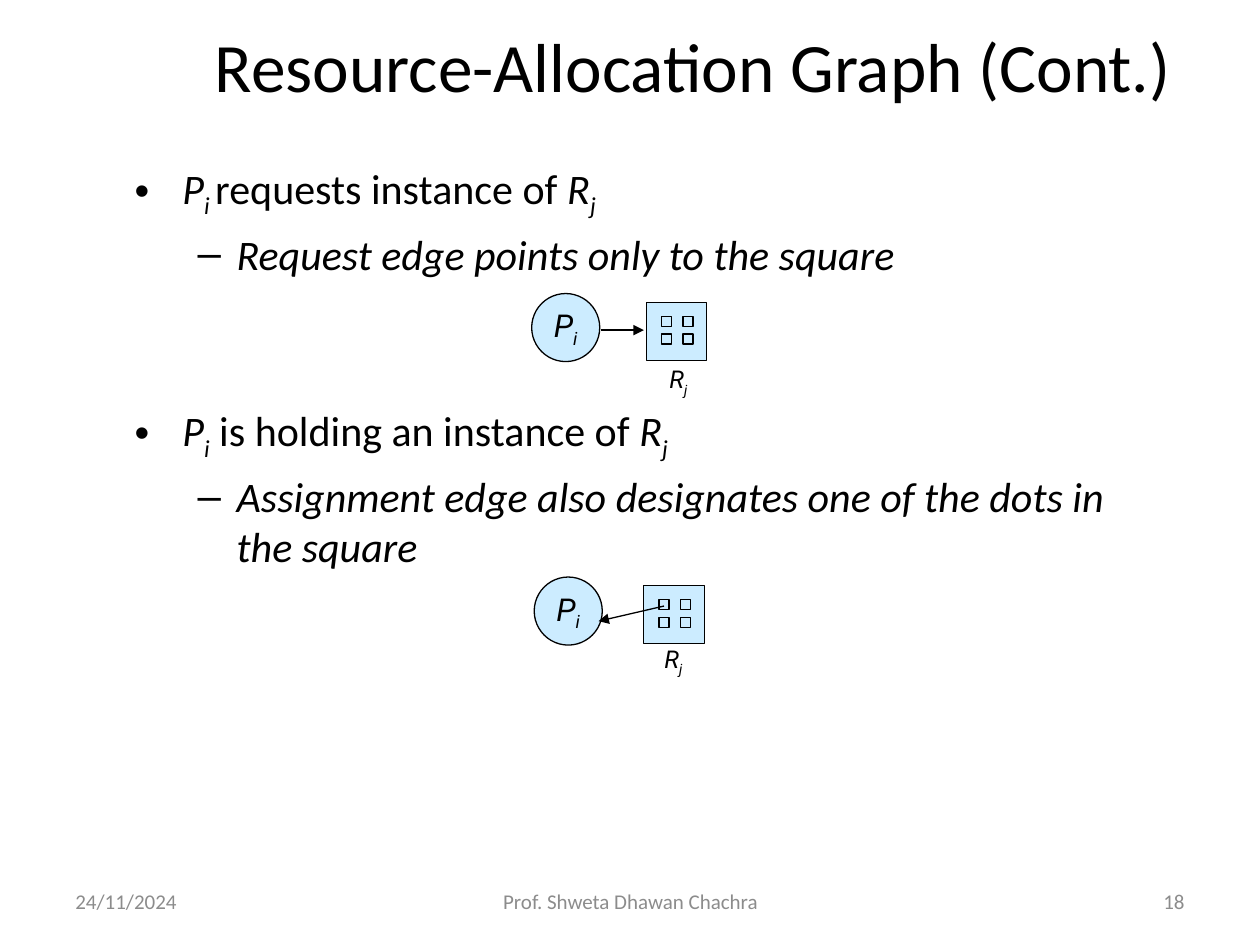
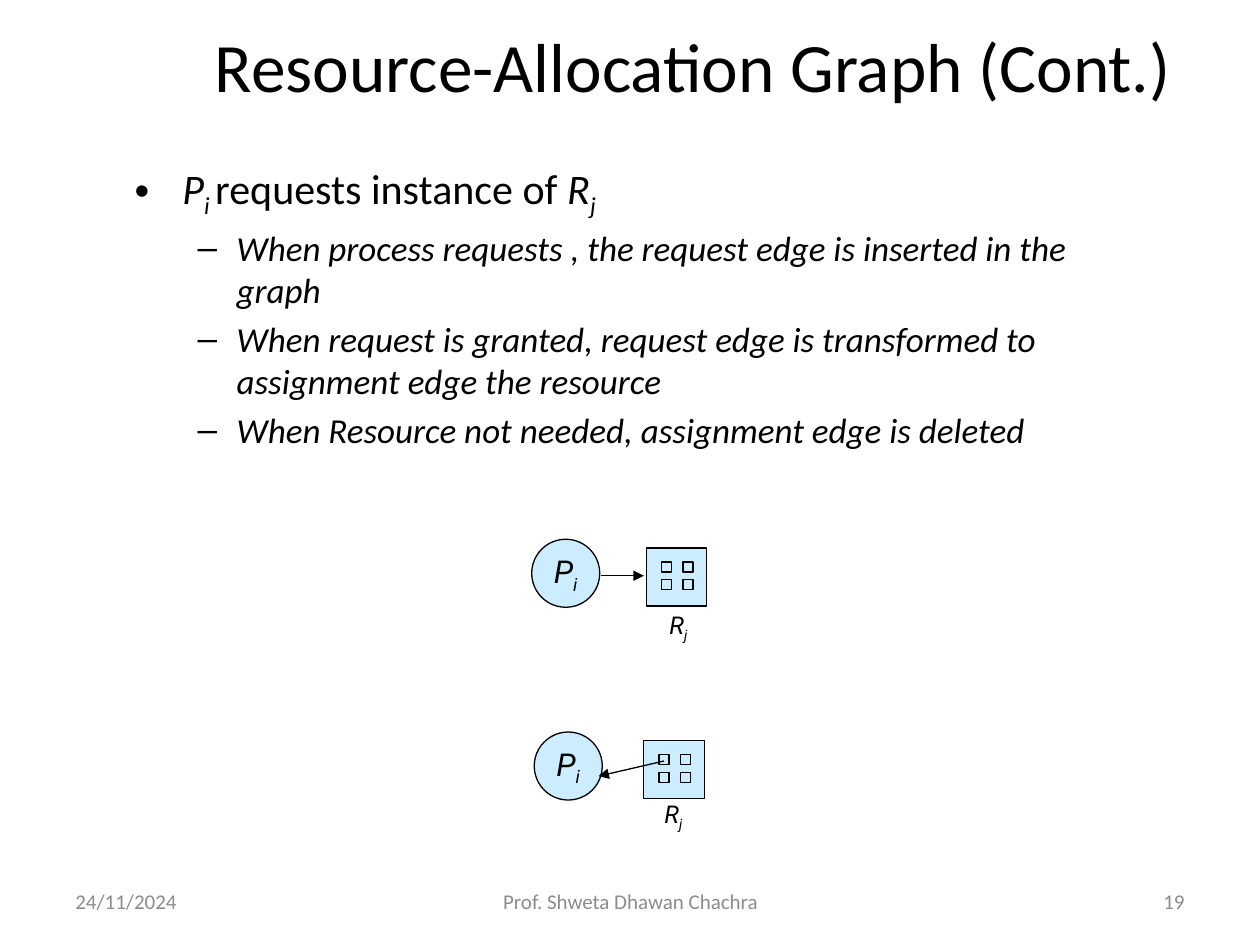
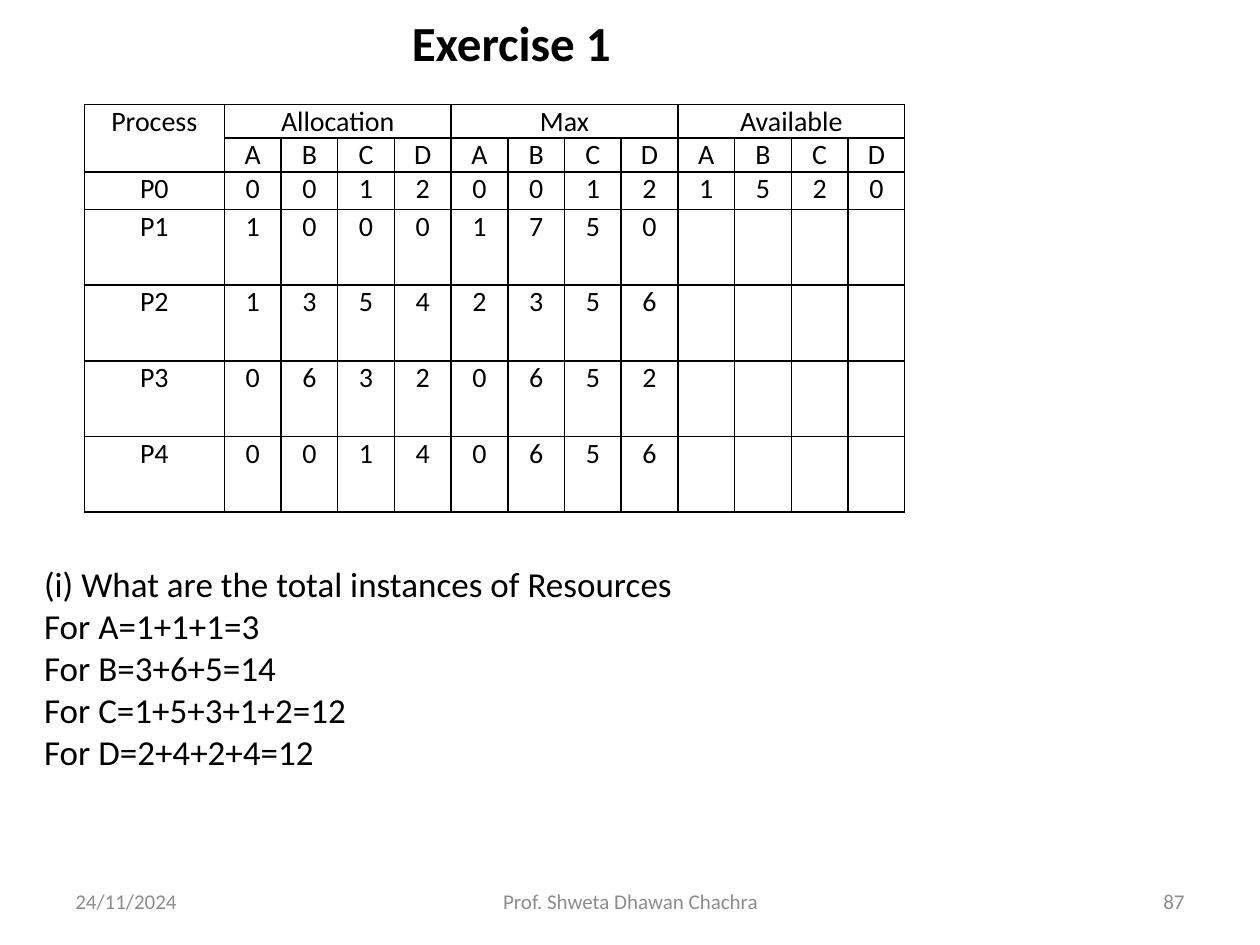
from dataclasses import dataclass
from lxml.etree import SubElement
from pptx import Presentation
from pptx.dml.color import RGBColor
from pptx.enum.shapes import MSO_CONNECTOR, MSO_SHAPE
from pptx.enum.text import MSO_ANCHOR, MSO_AUTO_SIZE, PP_ALIGN
from pptx.oxml import parse_xml
from pptx.oxml.ns import nsdecls, qn
from pptx.util import Inches, Pt


@dataclass(frozen=True)
class Theme:
    ink: str = "000000"
    pale: str = "CCECFF"
    gray: str = "8C8C8C"
    font: str = "Calibri"
    sign: str = "Roboto"
    head: float = 39.6
    sub: int = 28
    text: int = 24
    small: int = 20
    node: int = 18
    cell: int = 16
    label: int = 14
    foot: int = 12
    line: float = 0.75
    grid: float = 1


DATE = "24/11/2024"
NAME = "Prof. Shweta Dhawan Chachra"
HEAD = "Resource-Allocation Graph (Cont.)"
LEFT, MID, RIGHT = PP_ALIGN.LEFT, PP_ALIGN.CENTER, PP_ALIGN.RIGHT
PROC = [("P", "i"), ("i", "is")]
RES = [("R", "i"), ("j", "is")]
ASK = [("P", "i"), ("i ", "is"), ("requests instance of ", ""), *RES]
HOLD = [*PROC, (" is holding an instance of ", ""), *RES]


class Deck:
    def __init__(self, theme):
        self.theme = theme
        self.file = Presentation()
        self.file.slide_width = Inches(10)
        self.file.slide_height = Inches(7.5)
        self.slide = None

    def start(self, num):
        self.slide = self.file.slides.add_slide(self.file.slide_layouts[5])
        feet = [(0.5, 2.33, DATE, LEFT), (3.42, 3.17, NAME, MID), (7.17, 2.33, str(num), RIGHT)]
        for left, width, text, align in feet:
            self.text((left, 6.95, width, 0.4), [(text, "")], self.theme.foot,
                      align, color=self.theme.gray, anchor=MSO_ANCHOR.MIDDLE)

    def runs(self, para, parts, size, font=None, color=None):
        for text, style in parts:
            run = para.add_run()
            run.text = text
            run.font.name = font or self.theme.font
            run.font.size = Pt(size)
            run.font.color.rgb = RGBColor.from_string(color or self.theme.ink)
            run.font.italic = "i" in style
            run.font.bold = "b" in style
            if "s" in style:
                run._r.get_or_add_rPr().set("baseline", "-25000")

    def title(self, box, lines, size, align):
        shape = self.slide.shapes.title
        shape.left, shape.top, shape.width, shape.height = map(Inches, box)
        frame = shape.text_frame
        frame.word_wrap = True
        frame.auto_size = MSO_AUTO_SIZE.NONE
        frame.vertical_anchor = MSO_ANCHOR.MIDDLE
        para = frame.paragraphs[0]
        para.alignment = align
        for spot, line in enumerate(lines):
            if spot:
                para.add_line_break()
            self.runs(para, [(line, "")], size)

    def text(self, box, parts, size, align=LEFT, font=None, color=None,
             anchor=MSO_ANCHOR.TOP, wrap=True):
        frame = self.slide.shapes.add_textbox(*map(Inches, box)).text_frame
        frame.word_wrap = wrap
        frame.vertical_anchor = anchor
        para = frame.paragraphs[0]
        para.alignment = align
        self.runs(para, parts, size, font, color)

    def list(self, box, items):
        frame = self.slide.shapes.add_textbox(*map(Inches, box)).text_frame
        frame.word_wrap = True
        for spot, (level, parts, size, gap) in enumerate(items):
            para = frame.add_paragraph() if spot else frame.paragraphs[0]
            para.level = level
            para.space_before = Pt(gap or size * 0.2)
            left, hang, mark = [(0.38, 0.38, "•"), (0.81, 0.31, "–")][level]
            props = para._p.get_or_add_pPr()
            props.set("marL", str(Inches(left)))
            props.set("indent", str(-Inches(hang)))
            SubElement(props, qn("a:buFont")).set("typeface", "Arial")
            SubElement(props, qn("a:buChar")).set("char", mark)
            self.runs(para, parts, size)

    def shape(self, kind, box, home=None):
        shape = (home or self.slide).shapes.add_shape(kind, *map(Inches, box))
        shape.shadow.inherit = False
        shape.fill.solid()
        shape.fill.fore_color.rgb = RGBColor.from_string(self.theme.pale)
        shape.line.color.rgb = RGBColor.from_string(self.theme.ink)
        shape.line.width = Pt(self.theme.line)
        return shape

    def node(self, left, top):
        frame = self.shape(MSO_SHAPE.OVAL, (left, top, 0.54, 0.54)).text_frame
        frame.word_wrap = False
        frame.vertical_anchor = MSO_ANCHOR.MIDDLE
        para = frame.paragraphs[0]
        para.alignment = MID
        self.runs(para, PROC, self.theme.node, self.theme.sign)

    def store(self, left, top):
        group = self.slide.shapes.add_group_shape()
        self.shape(MSO_SHAPE.RECTANGLE, (left, top, 0.48, 0.46), group)
        for row in range(2):
            for col in range(2):
                dot = (left + 0.12 + 0.17 * col, top + 0.11 + 0.14 * row, 0.08, 0.08)
                self.shape(MSO_SHAPE.RECTANGLE, dot, group)

    def arrow(self, *ends):
        line = self.slide.shapes.add_connector(MSO_CONNECTOR.STRAIGHT, *map(Inches, ends))
        line.line.color.rgb = RGBColor.from_string(self.theme.ink)
        line.line.width = Pt(self.theme.line)
        SubElement(line.line._get_or_add_ln(), qn("a:tailEnd")).set("type", "triangle")
        SubElement(line._element.spPr, qn("a:effectLst"))

    def edge(self, top, node, store, label, drop, ends):
        self.node(node, top)
        self.store(store, top + 0.07)
        x1, y1, x2, y2 = ends
        self.arrow(x1, top + y1, x2, top + y2)
        self.text((label, top + drop, 0.37, 0.33), RES, self.theme.label, MID,
                  self.theme.sign, anchor=MSO_ANCHOR.MIDDLE, wrap=False)

    def pair(self, ask, grant):
        self.edge(ask, 4.22, 5.13, 5.2, 0.53, (4.77, 0.29, 5.11, 0.29))
        self.edge(grant, 4.24, 5.11, 5.16, 0.5, (5.27, 0.23, 4.75, 0.35))

    def cell(self, cell, text):
        cell.margin_left = cell.margin_right = Inches(0.07)
        cell.margin_top = cell.margin_bottom = 0
        cell.fill.background()
        props = cell._tc.get_or_add_tcPr()
        for spot, side in enumerate("LRTB"):
            props.insert(spot, parse_xml(
                f'<a:ln{side} {nsdecls("a")} w="{Pt(self.theme.grid)}"><a:solidFill>'
                f'<a:srgbClr val="{self.theme.ink}"/></a:solidFill></a:ln{side}>'))
        if text:
            para = cell.text_frame.paragraphs[0]
            para.alignment = MID
            self.runs(para, [(text, "")], self.theme.cell)

    def table(self, box, rows, cols, highs, spans):
        frame = self.slide.shapes.add_table(len(rows), len(cols), *map(Inches, box))
        table = frame.table
        table.first_row = table.horz_banding = False
        for col, width in zip(table.columns, cols):
            col.width = Inches(width)
        for row, high in zip(table.rows, highs):
            row.height = Inches(high)
        for r, row in enumerate(rows):
            for c, text in enumerate(row):
                self.cell(table.cell(r, c), text)
        for first, last in spans:
            table.cell(*first).merge(table.cell(*last))


def graph(deck, num, items, tops):
    deck.start(num)
    deck.title((1.23, 0.2, 8.54, 0.63), [HEAD], deck.theme.head, MID)
    deck.list((0.97, 1.24, 8.03, 4.95), items)
    deck.pair(*tops)


def task(deck):
    deck.start(87)
    deck.title((0.25, 4.67, 9, 1.25), [
        "(i) What are the total instances of Resources",
        "For A=1+1+1=3",
        "For B=3+6+5=14",
        "For C=1+5+3+1+2=12",
        "For D=2+4+2+4=12",
    ], deck.theme.small, LEFT)
    heads = ["Process"]
    for name in ("Allocation", "Max", "Available"):
        heads += [name, "", "", ""]
    data = ["001200121520", "10001750", "13542356", "06320652", "00140656"]
    rows = [heads, ["", *"ABCD" * 3]]
    rows += [[f"P{num}", *vals.ljust(12).replace(" ", "-")] for num, vals in enumerate(data)]
    rows = [[text.replace("-", "") for text in row] for row in rows]
    spans = [((0, 0), (1, 0))] + [((0, col), (0, col + 3)) for col in (1, 5, 9)]
    deck.table((0.67, 0.83, 6.49, 3.23), rows, [1.11] + [0.45] * 12,
               [0.2] * 2 + [0.3] + [0.6] * 4, spans)
    deck.text((3.17, 0.05, 1.8, 0.57), [("Exercise 1", "b")], deck.theme.sub, wrap=False)


def main():
    theme = Theme()
    deck = Deck(theme)
    big, small = theme.text, theme.small
    graph(deck, 18, [
        (0, ASK, big, None),
        (1, [("Request edge points only to the square", "i")], big, None),
        (0, HOLD, big, 72),
        (1, [("Assignment edge also designates one of the dots in the square", "i")], big, None),
    ], (2.33, 4.58))
    notes = [
        "When process requests , the request edge is inserted in the graph",
        "When request is granted, request edge is transformed to assignment edge the resource",
        "When Resource not needed, assignment edge is deleted",
    ]
    graph(deck, 19, [(0, ASK, big, None)] + [(1, [(note, "i")], small, None) for note in notes],
          (4.28, 5.81))
    task(deck)
    deck.file.save("out.pptx")


if __name__ == "__main__":
    main()
